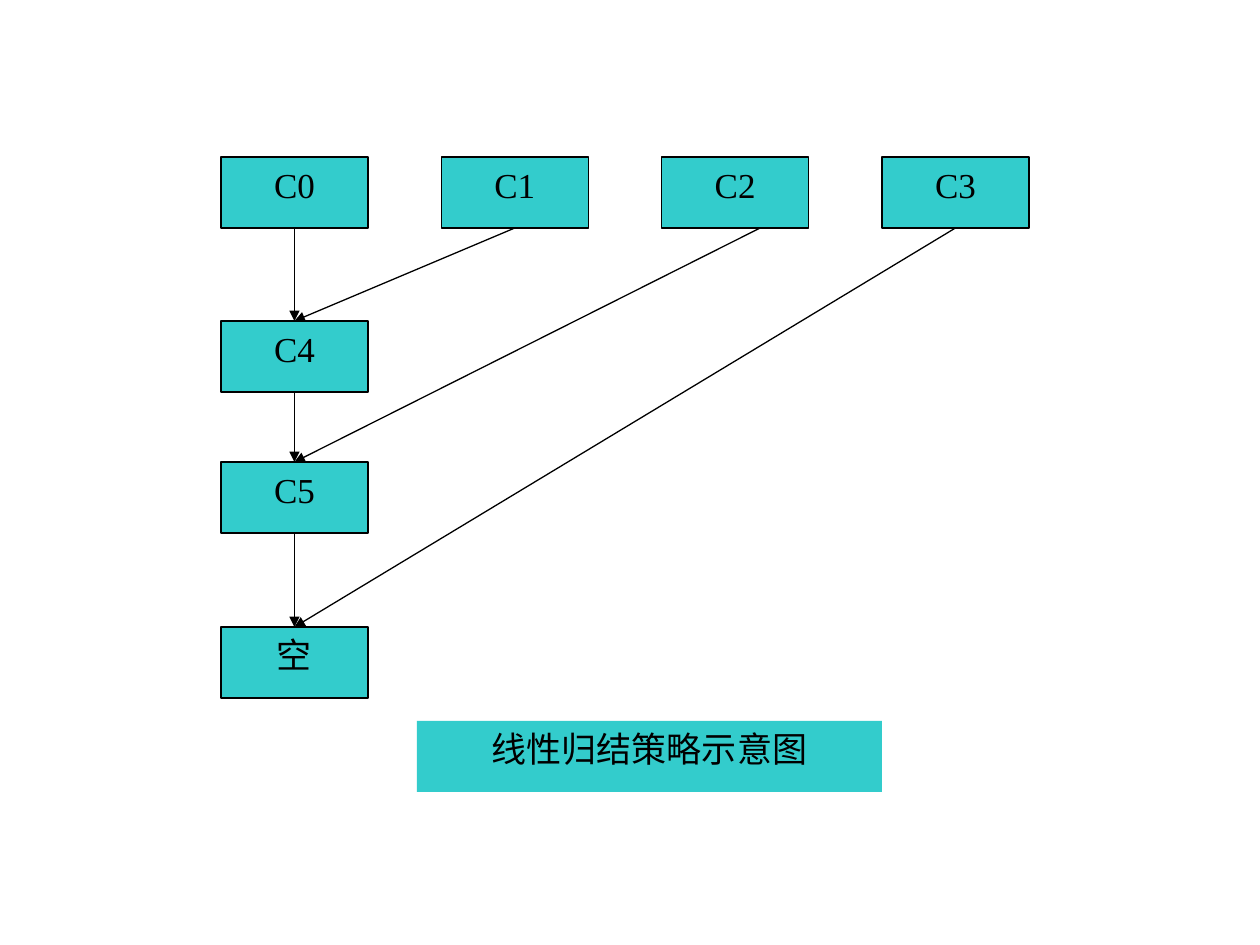
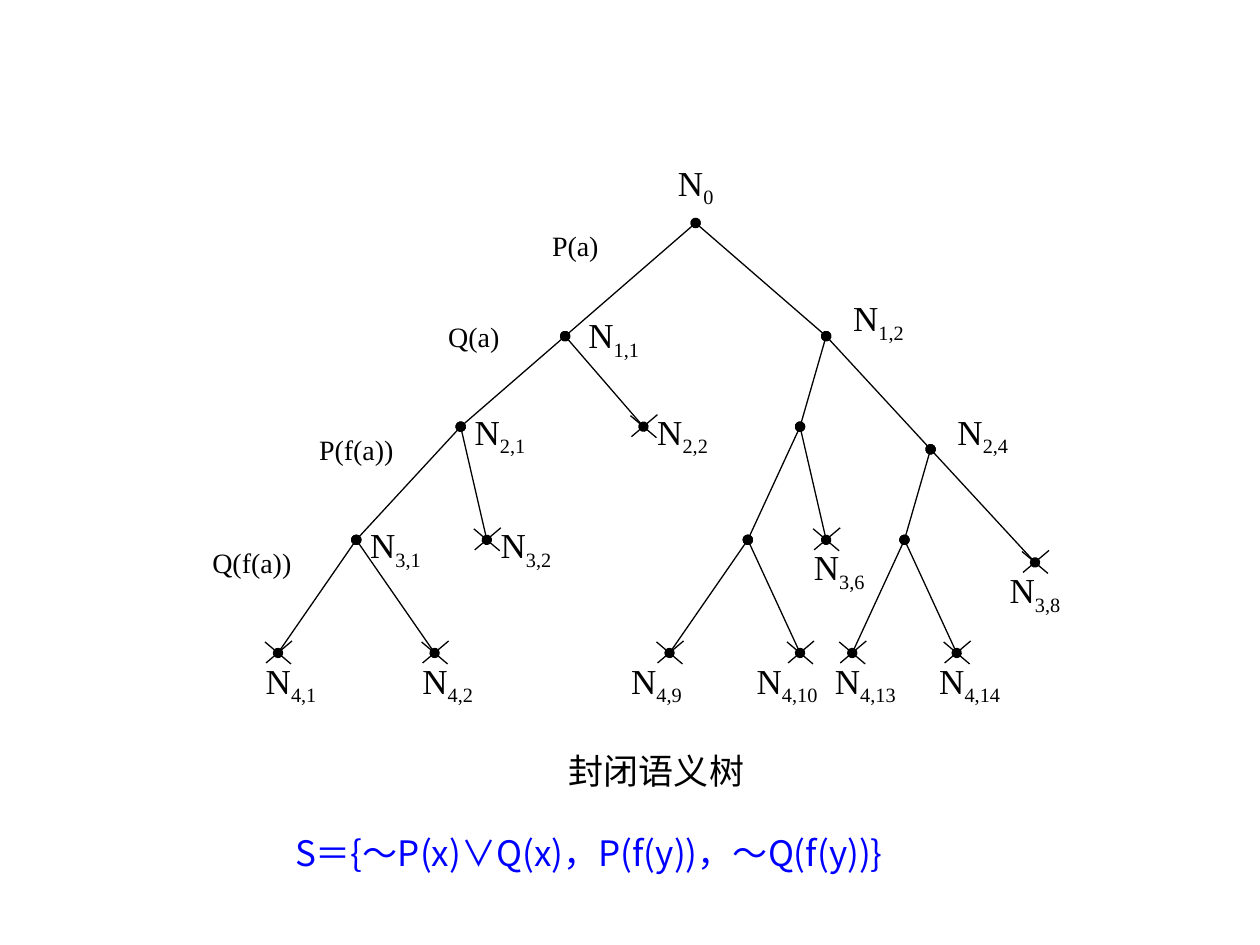
from lxml import etree
from pptx import Presentation
from pptx.dml.color import RGBColor
from pptx.enum.shapes import MSO_CONNECTOR, MSO_SHAPE
from pptx.enum.text import MSO_ANCHOR, MSO_AUTO_SIZE, PP_ALIGN
from pptx.oxml.ns import qn
from pptx.util import Pt

PX = 914400 / 126
SLIDE_W, SLIDE_H = 1260, 945
RECT = MSO_SHAPE.RECTANGLE
STRAIGHT = MSO_CONNECTOR.STRAIGHT
TOP = MSO_ANCHOR.TOP
CENTER, LEFT, JUSTIFY = PP_ALIGN.CENTER, PP_ALIGN.LEFT, PP_ALIGN.JUSTIFY
GROW = MSO_AUTO_SIZE.SHAPE_TO_FIT_TEXT

COLORS = {"ink": "000000", "box": "33CCCC", "formula": "0000FF"}
SERIF, SANS = "Times New Roman", "Noto Sans CJK SC"
LINE_WIDTH = Pt(0.75)
INSET_X, INSET_Y = 13, 6

# Semantic tree: node -> (column, row) on a grid of 29 by 19 steps
TREE_COLS, TREE_ROWS = 29, 19
NODES = {
    "0": (16, 0),
    "1,1": (11, 5), "1,2": (21, 5),
    "2,1": (7, 9), "2,2": (14, 9), "2,3": (20, 9), "2,4": (25, 10),
    "3,1": (3, 14), "3,2": (8, 14), "3,5": (18, 14),
    "3,6": (21, 14), "3,7": (24, 14), "3,8": (29, 15),
    "4,1": (0, 19), "4,2": (6, 19), "4,9": (15, 19),
    "4,10": (20, 19), "4,13": (22, 19), "4,14": (26, 19),
}
CHILDREN = {
    "0": ("1,1", "1,2"),
    "1,1": ("2,1", "2,2"), "1,2": ("2,3", "2,4"),
    "2,1": ("3,1", "3,2"), "2,3": ("3,5", "3,6"), "2,4": ("3,7", "3,8"),
    "3,1": ("4,1", "4,2"), "3,5": ("4,9", "4,10"), "3,7": ("4,13", "4,14"),
}
# Node label -> (column, row, width in columns)
NODE_LABELS = {
    "0": (14, -3, 4), "1,1": (10.86, 3.73, 4), "1,2": (21, 3, 4),
    "2,1": (7, 8, 3), "2,2": (14, 8, 3), "2,4": (25, 8, 4),
    "3,1": (3, 13, 3), "3,2": (8, 13, 3), "3,6": (20, 14, 3),
    "3,8": (27, 15, 4), "4,1": (-1, 19, 3), "4,2": (5, 19, 3),
    "4,9": (13, 19, 3), "4,10": (18, 19, 3), "4,13": (21, 19, 3),
    "4,14": (25, 19, 3),
}
# Atom, column, row, width in columns, alignment, side inset
ATOM_LABELS = [
    ("P(a)", 10, 0, 4, JUSTIFY, INSET_X),
    ("Q(a)", 5, 4, 5, CENTER, INSET_X),
    ("P(f(a))", 0, 9, 6, CENTER, INSET_X),
    ("Q(f(a))", -3, 14, 4, CENTER, 0),
]


def px(*lengths):
    return [round(length * PX) for length in lengths]


def color(name):
    return RGBColor.from_string(COLORS[name])


def put_text(sp, text, sub="", size=20, font=SERIF, ink="ink", align=CENTER,
             inset=INSET_X):
    """Write one paragraph, with an optional subscript, at the top of a shape."""
    tf = sp.text_frame
    tf.word_wrap = True
    tf.vertical_anchor = TOP
    tf.margin_left, tf.margin_right = px(inset, inset)
    tf.margin_top, tf.margin_bottom = px(INSET_Y, INSET_Y)
    p = tf.paragraphs[0]
    p.alignment = align
    p.font.size = Pt(size)
    p.font.name = font
    p.font.color.rgb = color(ink)
    p.add_run().text = text
    if sub:
        r = p.add_run()
        r.text = sub
        r._r.get_or_add_rPr().set("baseline", "-25000")


def add_label(slide, box, text, **style):
    sp = slide.shapes.add_textbox(*px(*box))
    put_text(sp, text, **style)
    return sp


def add_box(slide, box, text, outlined=True):
    sp = slide.shapes.add_shape(RECT, *px(*box))
    sp.shadow.inherit = False
    sp.fill.solid()
    sp.fill.fore_color.rgb = color("box")
    if outlined:
        sp.line.color.rgb = color("ink")
        sp.line.width = LINE_WIDTH
    else:
        sp.line.fill.background()
    put_text(sp, text)


def add_line(slide, start, end, head=None, tail=None):
    """Draw a line whose head end is at start and tail end at end."""
    cxn = slide.shapes.add_connector(STRAIGHT, *px(*start, *end))
    cxn.line.color.rgb = color("ink")
    cxn.line.width = LINE_WIDTH
    ln = cxn.line._get_or_add_ln()
    for tag, kind in (("a:headEnd", head), ("a:tailEnd", tail)):
        if kind:
            etree.SubElement(ln, qn(tag)).set("type", kind)
    etree.SubElement(cxn._element.spPr, qn("a:effectLst"))


def add_resolution_chain(slide, left, top, width):
    """Clauses along the top, resolvents down the left, arrows between them."""
    box_w, box_h = 147, 71
    step = (width - box_w) / 3
    mid = left + box_w / 2
    for i in range(4):
        add_box(slide, (left + i * step, top, box_w, box_h), f"C{i}")

    above = top
    resolvents = [("C4", 164, 0), ("C5", 305, 25), ("空", 470, 0)]
    for i, (name, drop, shift) in enumerate(resolvents, start=1):
        y = top + drop
        add_box(slide, (left, y, box_w, box_h), name)
        add_line(slide, (mid, above + box_h), (mid, y), tail="triangle")
        add_line(slide, (mid + i * step + shift, top + box_h), (mid, y),
                 tail="triangle")
        above = y


def add_cross(slide, x, y):
    """Mark a closed leaf."""
    dx, dy = 13, 11
    add_line(slide, (x - dx, y - dy), (x + dx, y + dy))
    add_line(slide, (x - dx + 1, y + dy - 1), (x + dx + 1, y - dy - 1))


def add_semantic_tree(slide, left, top, width, height):
    col_w, row_h = width / TREE_COLS, height / TREE_ROWS

    def at(col, row):
        return left + col * col_w, top + row * row_h

    def cell(col, row, cols):
        return (*at(col, row), cols * col_w, 3 * row_h)

    for parent, children in CHILDREN.items():
        for child in children:
            add_line(slide, at(*NODES[parent]), at(*NODES[child]),
                     head="oval", tail="oval")
    for node, place in NODES.items():
        if node not in CHILDREN:
            add_cross(slide, *at(*place))
    for node, place in NODE_LABELS.items():
        inset = 0 if place[2] == 3 else INSET_X
        add_label(slide, cell(*place), "N", sub=node, inset=inset)
    for atom, col, row, cols, align, inset in ATOM_LABELS:
        add_label(slide, cell(col, row, cols), atom, size=16, align=align,
                  inset=inset)
    add_label(slide, cell(3, 23, 23), "封闭语义树")


def build_linear_resolution(slide):
    add_resolution_chain(slide, 221, 157, 808)
    add_box(slide, (417, 721, 465, 71), "线性归结策略示意图", outlined=False)


def build_closed_tree(slide):
    add_semantic_tree(slide, 278, 223, 757, 430)
    sp = add_label(slide, (282, 825, 672, 55),
                   "S＝{～P(x)∨Q(x)，P(f(y))，～Q(f(y))}",
                   font=SANS, ink="formula", align=LEFT)
    sp.text_frame.auto_size = GROW


def main():
    prs = Presentation()
    prs.slide_width, prs.slide_height = px(SLIDE_W, SLIDE_H)
    blank = prs.slide_layouts[6]
    for build in (build_linear_resolution, build_closed_tree):
        build(prs.slides.add_slide(blank))
    prs.save("out.pptx")


if __name__ == "__main__":
    main()
